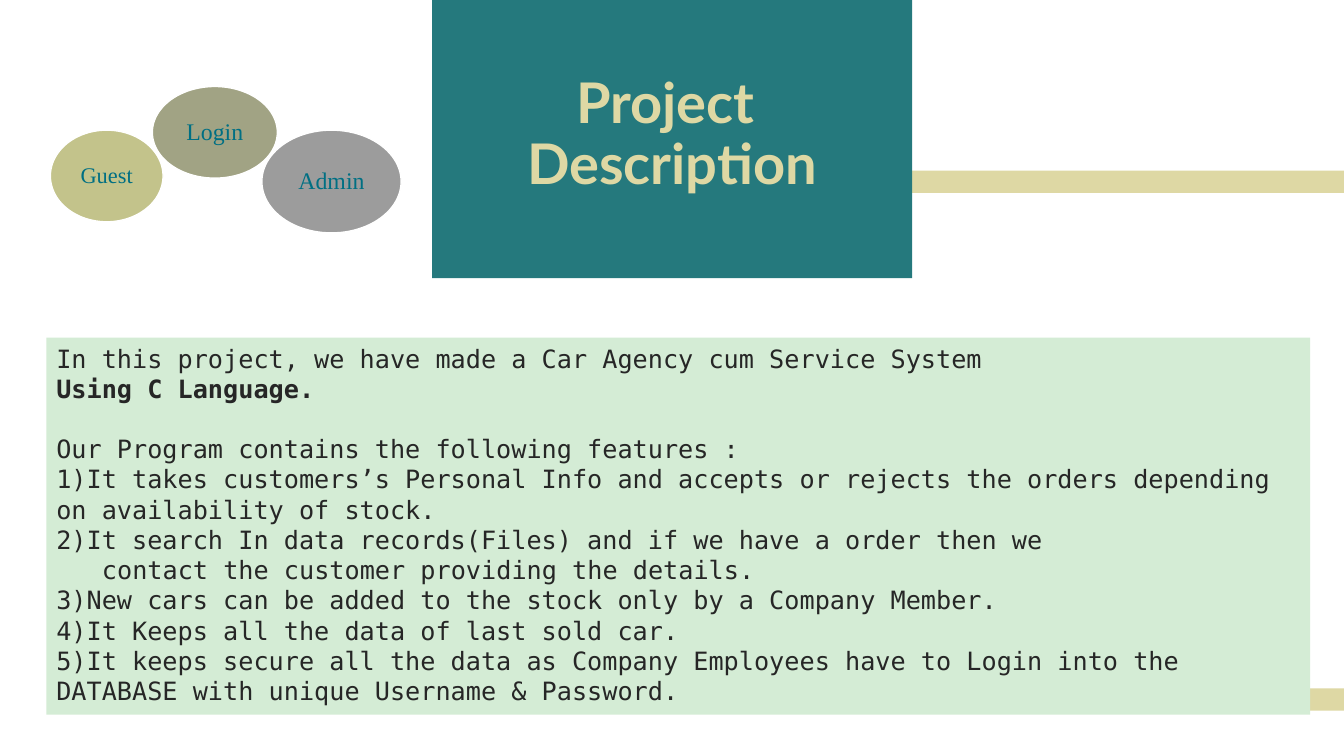
from lxml.etree import SubElement
from pptx import Presentation
from pptx.dml.color import RGBColor
from pptx.enum.shapes import MSO_SHAPE
from pptx.enum.text import MSO_ANCHOR, PP_ALIGN
from pptx.oxml.ns import qn
from pptx.util import Cm, Pt

TEAL, SAND, MINT, INK = "25797D", "DED8A4", "D4ECD5", "262626"
LABEL_TEAL, WHITE = "006F83", "FFFFFF"

ROLES = [  # label, box in cm, fill, opacity in percent, text size
    ("Admin", (6.6, 3.28, 3.51, 2.59), "3A3A3A", 50, 17),
    ("Login", (3.84, 2.18, 3.15, 2.31), "707343", 65, 17),
    ("Guest", (1.27, 3.28, 2.84, 2.31), "B4B46F", 80, 16),
]
FEATURES = [  # text, paragraph format
    ("In this project, we have made a Car Agency cum Service System", {}),
    ("Using C Language.", {"bold": True}),
    ("Our Program contains the following features :", {"before": 21.5}),
    ("1)It takes customers’s Personal Info and accepts or rejects the orders "
     "depending on availability of stock.", {}),
    ("2)It search In data records(Files) and if we have a order then we", {}),
    ("contact the customer providing the details.", {"indent": 1.15}),
    ("3)New cars can be added to the stock only by a Company Member.", {}),
    ("4)It Keeps all the data of last sold car.", {}),
    ("5)It keeps secure all the data as Company Employees have to Login into "
     "the DATABASE with unique Username & Password.", {}),
]


def colour(hex_value):
    return RGBColor.from_string(hex_value)


def add_panel(slide, box, fill, kind=MSO_SHAPE.RECTANGLE, opacity=100, outline=None):
    panel = slide.shapes.add_shape(kind, *(Cm(length) for length in box))
    panel.shadow.inherit = False
    panel.fill.solid()
    panel.fill.fore_color.rgb = colour(fill)
    if opacity < 100:
        tint = panel.fill._xPr.find(qn("a:solidFill"))[0]
        SubElement(tint, qn("a:alpha"), val=str(opacity * 1000))
    if outline:
        panel.line.color.rgb = colour(outline)
        panel.line.width = Pt(1)
    else:
        panel.line.fill.background()
    return panel


def set_frame(panel, anchor, left, top, right, bottom):
    frame = panel.text_frame
    frame.word_wrap = True
    frame.vertical_anchor = anchor
    frame.margin_left, frame.margin_top = Cm(left), Cm(top)
    frame.margin_right, frame.margin_bottom = Cm(right), Cm(bottom)
    return frame


def write(paragraph, text, font, size, ink, bold=False, align=PP_ALIGN.LEFT,
          spacing=1.0, before=0, indent=0):
    paragraph.text = text
    paragraph.alignment = align
    paragraph.line_spacing = spacing
    paragraph.space_before = Pt(before)
    if indent:
        paragraph._p.get_or_add_pPr().set("marL", str(Cm(indent)))
    for run in paragraph.runs:
        run.font.name = font
        run.font.size = Pt(size)
        run.font.bold = bold
        run.font.color.rgb = colour(ink)


def add_bars(slide, right, height):
    """Sand bars that run to the right edge of the slide."""
    for left, top in ((13.51, 4.3), (31.52, 17.35)):
        add_panel(slide, (left, top, right - left, height), SAND)


def add_title(slide, box):
    frame = set_frame(add_panel(slide, box, TEAL), MSO_ANCHOR.TOP, 0, 1.9, 0, 0)
    write(frame.paragraphs[0], "Project \vDescription", "Lato", 40, SAND,
          bold=True, align=PP_ALIGN.CENTER, spacing=0.9)


def add_roles(slide):
    for role, box, fill, opacity, size in ROLES:
        bubble = add_panel(slide, box, fill, MSO_SHAPE.OVAL, opacity, WHITE)
        frame = set_frame(bubble, MSO_ANCHOR.MIDDLE, 0.1, 0.1, 0.1, 0.1)
        write(frame.paragraphs[0], role, "Times New Roman", size, LABEL_TEAL,
              align=PP_ALIGN.CENTER, spacing=0.9)


def add_features(slide, box):
    panel = add_panel(slide, box, MINT)
    frame = set_frame(panel, MSO_ANCHOR.TOP, 0.25, 0.13, 0.25, 0.13)
    for number, (feature, style) in enumerate(FEATURES):
        paragraph = frame.add_paragraph() if number else frame.paragraphs[0]
        write(paragraph, feature, "DejaVu Sans Mono", 18, INK, **style)


def main():
    deck = Presentation()
    deck.slide_width, deck.slide_height = Cm(33.87), Cm(19.05)
    slide = deck.slides.add_slide(deck.slide_layouts[6])
    # Background bars, then the title block
    add_bars(slide, right=33.87, height=0.56)
    add_title(slide, (10.89, 0, 12.1, 7.01))
    # User roles and the feature list
    add_roles(slide)
    add_features(slide, (1.17, 8.51, 31.85, 9.5))
    deck.save("out.pptx")


if __name__ == "__main__":
    main()
